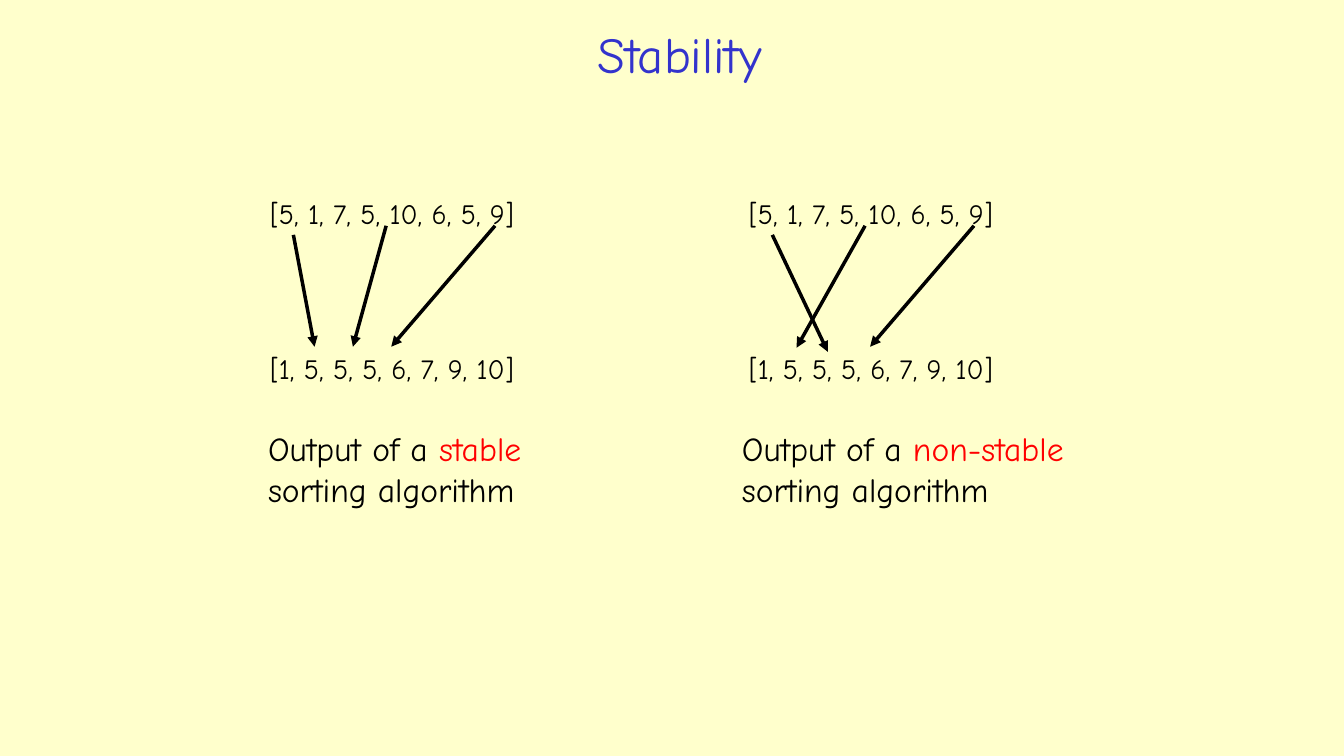
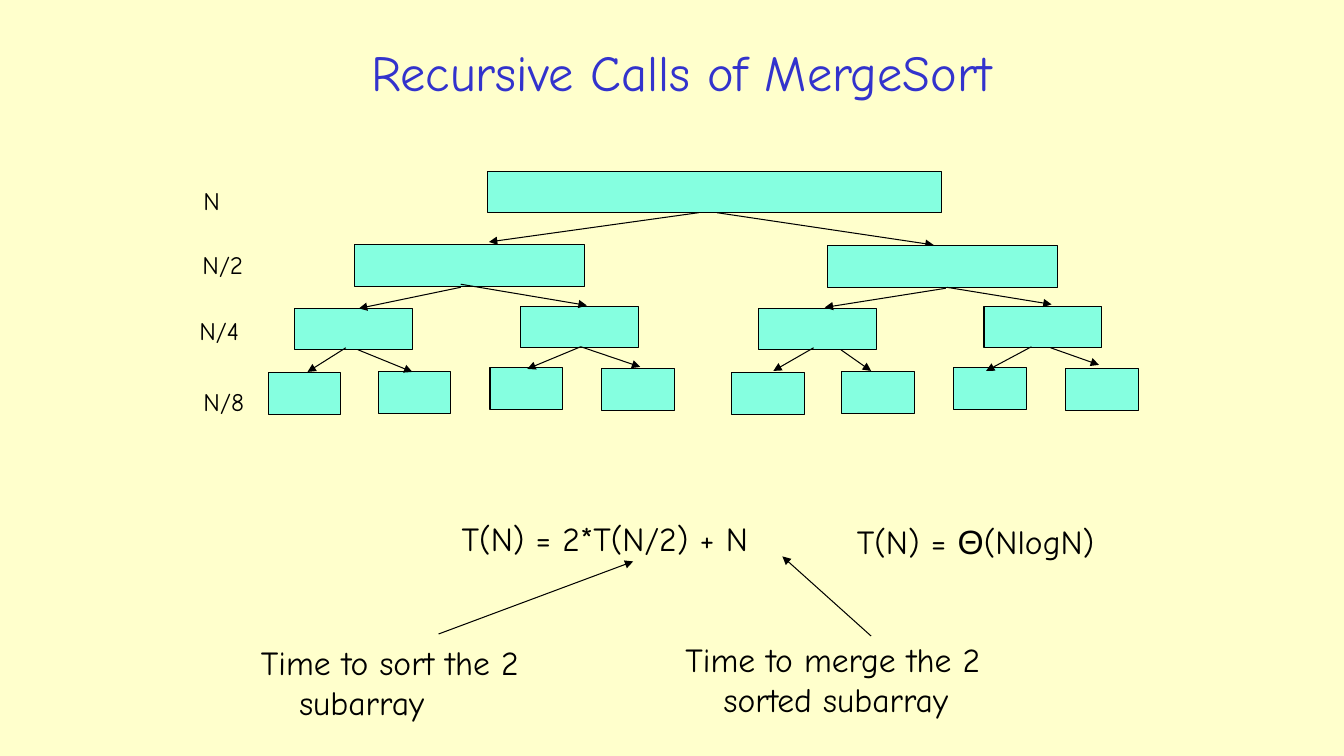
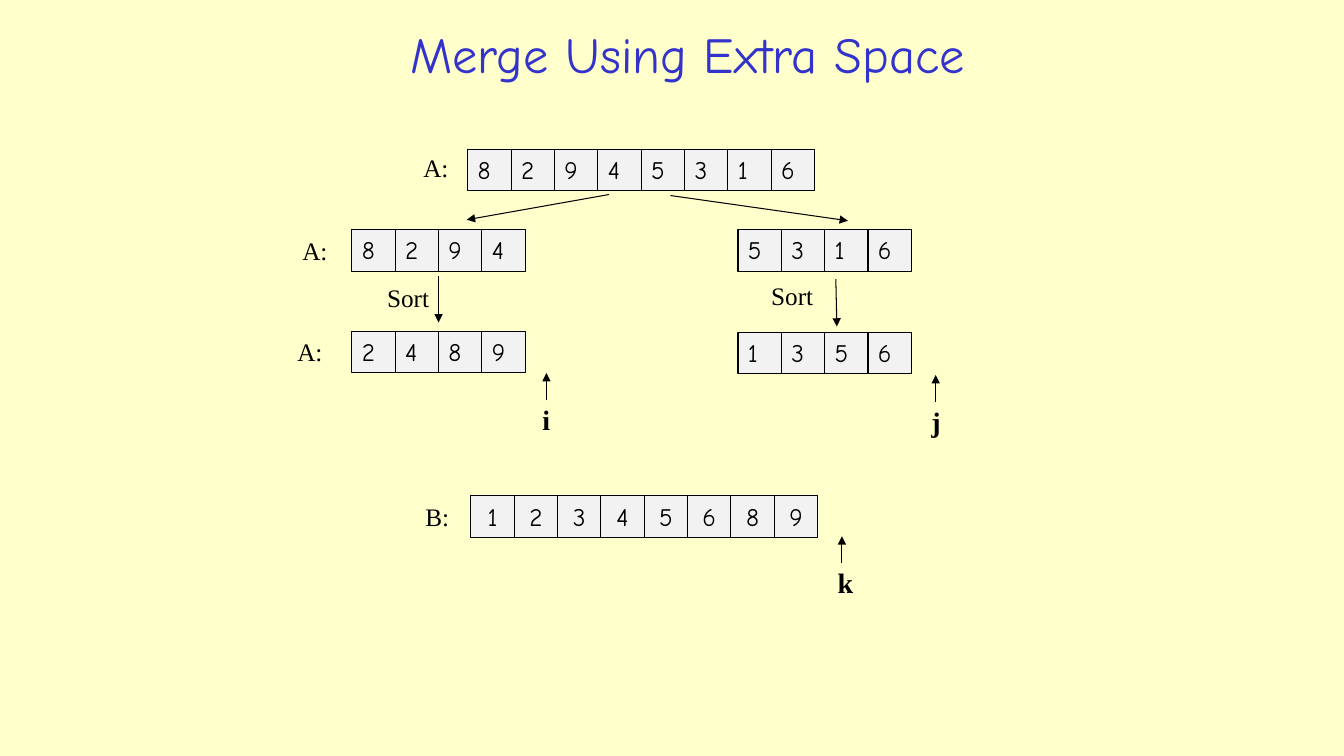
from lxml import etree
from pptx import Presentation, util as u
from pptx.dml.color import RGBColor
from pptx.enum import shapes, text
from pptx.oxml.ns import qn

WIDTH, HEIGHT = 13.33, 7.5
PAPER, TITLE, INK, ACCENT = "FFFFCC", "3333CC", "000000", "FF0000"
MINT, CELL = "85FFE0", "F2F2F2"
HAND, SERIF, SANS = "Comic Neue", "Times New Roman", "Arial"
CELL_WIDTH, ROW_HEIGHT = 0.43, 0.41


def color(value):
    """Turn a hex string into a colour."""
    return RGBColor.from_string(value)


def assign(target, values):
    """Set each named attribute of the target."""
    for name, value in values.items():
        setattr(target, name, value)


def inches(*lengths):
    """Convert lengths in inches."""
    return [u.Inches(length) for length in lengths]


def write(shape, paragraphs, size, font=HAND, ink=INK, bold=False, align=None, hanging=0):
    """Fill a shape with paragraphs made of (text, format) runs."""
    frame = shape.text_frame
    for index, runs in enumerate(paragraphs):
        paragraph = frame.paragraphs[0] if index == 0 else frame.add_paragraph()
        paragraph.alignment = align or text.PP_ALIGN.LEFT
        if hanging:
            properties = paragraph._p.get_or_add_pPr()
            properties.set("marL", str(u.Inches(hanging)))
            properties.set("indent", str(-u.Inches(hanging)))
        for words, changes in runs:
            run = paragraph.add_run()
            run.text = words
            look = {"name": font, "size": u.Pt(size), "bold": bold}
            assign(run.font, {**look, **{k: v for k, v in changes.items() if k != "ink"}})
            run.font.color.rgb = color(changes.get("ink", ink))


def add_text(slide, box, content, size, wrap=False, anchor=text.MSO_ANCHOR.TOP, **look):
    """Add a text box holding a string or a list of paragraphs."""
    shape = slide.shapes.add_textbox(*inches(*box))
    fit = text.MSO_AUTO_SIZE.NONE if wrap else text.MSO_AUTO_SIZE.SHAPE_TO_FIT_TEXT
    assign(shape.text_frame, {"word_wrap": wrap, "auto_size": fit, "vertical_anchor": anchor})
    write(shape, [[(content, {})]] if isinstance(content, str) else content, size, **look)


def add_box(slide, box, fill):
    """Add an outlined rectangle."""
    shape = slide.shapes.add_shape(shapes.MSO_SHAPE.RECTANGLE, *inches(*box))
    shape.shadow.inherit = False
    shape.fill.solid()
    shape.fill.fore_color.rgb = color(fill)
    shape.line.color.rgb = color(INK)
    shape.line.width = u.Pt(0.75)
    return shape


def add_arrows(slide, arrows, left=0, top=0, width=0.75):
    """Add arrows given as from and to points relative to an origin."""
    for x1, y1, x2, y2 in arrows:
        ends = inches(left + x1, top + y1, left + x2, top + y2)
        arrow = slide.shapes.add_connector(shapes.MSO_CONNECTOR.STRAIGHT, *ends)
        arrow.line.color.rgb = color(INK)
        arrow.line.width = u.Pt(width)
        etree.SubElement(arrow.line._get_or_add_ln(), qn("a:tailEnd"), type="triangle")
        etree.SubElement(arrow._element.spPr, qn("a:effectLst"))


def add_slide(presentation, title, box):
    """Add a blank slide with the shared title style."""
    slide = presentation.slides.add_slide(presentation.slide_layouts[6])
    add_text(slide, box, title, 36, wrap=True, anchor=text.MSO_ANCHOR.MIDDLE,
             ink=TITLE, align=text.PP_ALIGN.CENTER)
    return slide


def sorting_example(slide, left, top, kind, caption_left, caption_width, arrows):
    """Show an array, its sorted order and the moves between them."""
    add_text(slide, (left, top, 3.08, 0.44), "[5, 1, 7, 5, 10, 6, 5, 9]", 20)
    add_text(slide, (left, top + 1.54, 3, 0.44), "[1, 5, 5, 5, 6, 7, 9, 10]", 20)
    add_arrows(slide, arrows, left, top, 2.5)
    caption = [[("Output of a ", {}), (kind, {"ink": ACCENT})], [("sorting algorithm", {})]]
    add_text(slide, (caption_left, top + 2.3, caption_width, 0.91), caption, 24)


def stability_slide(presentation):
    """Compare a stable with a non-stable sort."""
    slide = add_slide(presentation, "Stability", (1.97, 0.15, 9.54, 0.76))
    last = (2.33, 0.34, 1.3, 1.54)
    sorting_example(slide, 2.58, 1.9, "stable", 2.56, 3.11,
                    [(0.33, 0.43, 0.54, 1.54), (1.25, 0.34, 0.92, 1.54), last])
    sorting_example(slide, 7.33, 1.9, "non-stable", 7.26, 3.78,
                    [(0.33, 0.43, 0.88, 1.59), (1.25, 0.34, 0.57, 1.55), last])


def subtree(slide, left, top, half, arrows):
    """Draw one half of the call tree, from N/2 down to N/8."""
    levels = [
        (2.28, [half]),
        (1.17, [(0.26, 0.63), (2.5, 0.61)]),
        (0.72, [(0, 1.27), (1.09, 1.26), (2.2, 1.22), (3.31, 1.23)]),
    ]
    for width, places in levels:
        for x, y in places:
            add_box(slide, (left + x, top + y, width, ROW_HEIGHT), MINT)
    add_arrows(slide, arrows, left, top)


def recursion_slide(presentation):
    """Show the call tree and its running time."""
    slide = add_slide(presentation, "Recursive Calls of MergeSort", (2.11, 0.15, 9.3, 1.12))
    sizes = [("N", 1.92, 1.79), ("N/2", 1.91, 2.42), ("N/4", 1.88, 3.08), ("N/8", 1.92, 3.78)]
    for label, left, top in sizes:
        add_text(slide, (left, top, 0.76, 0.4), label, 18, wrap=True)
    add_box(slide, (4.84, 1.7, 4.5, ROW_HEIGHT), MINT)
    add_arrows(slide, [(6.93, 2.11, 4.85, 2.4), (7.11, 2.11, 9.26, 2.43)])
    subtree(slide, 2.66, 2.43, (0.86, 0), [
        (1.91, 0.42, 0.9, 0.63), (1.91, 0.39, 3.16, 0.6),
        (0.77, 1.02, 0.39, 1.26), (0.89, 1.04, 1.43, 1.26),
        (3.1, 1.01, 2.57, 1.23), (3.1, 1.01, 3.69, 1.21)])
    subtree(slide, 7.26, 2.43, (0.95, 0.01), [
        (2.12, 0.43, 0.92, 0.62), (2.13, 0.42, 3.17, 0.59),
        (0.81, 1.02, 0.41, 1.25), (1.08, 1.04, 1.38, 1.25),
        (2.97, 1.01, 2.52, 1.25), (3.16, 1.02, 3.64, 1.19)])
    bound = [[("T(N) = ", {}), ("Θ", {"name": SANS}), ("(NlogN)", {})]]
    notes = [
        ((4.48, 5.09, 3.59, 0.54), "T(N) = 2*T(N/2) + N"),
        ((8.4, 5.12, 2.9, 0.54), bound),
        ((2.49, 6.32, 3.33, 0.88), "Time to sort the 2 subarray"),
        ((6.7, 6.29, 3.8, 0.88), "Time to merge the 2 sorted subarray"),
    ]
    for box, content in notes:
        add_text(slide, box, content, 24, wrap=True, hanging=0.38)
    add_arrows(slide, [(4.35, 6.29, 6.28, 5.57), (8.64, 6.31, 7.76, 5.52)])


def array_row(slide, left, top, digits, align=None):
    """Draw an array as a row of cells, one digit each."""
    for index, digit in enumerate(digits):
        cell = add_box(slide, (left + index * CELL_WIDTH, top, CELL_WIDTH, ROW_HEIGHT), CELL)
        cell.text_frame.vertical_anchor = text.MSO_ANCHOR.TOP
        write(cell, [[(digit, {})]], 18, align=align)


def index_pointer(slide, left, top, name, width):
    """Draw an upward arrow above the name of an index."""
    add_arrows(slide, [(0.14, 0.27, 0.14, 0)], left, top)
    add_text(slide, (left, top + 0.24, width, 0.44), name, 20, font=SERIF, bold=True)


def merge_slide(presentation):
    """Show two sorted halves merged into a second array."""
    slide = add_slide(presentation, "Merge Using Extra Space", (1.97, 0.15, 9.7, 0.76))
    rows = [(4.64, 1.48, "82945316"), (3.49, 2.28, "8294"), (7.32, 2.28, "5316"),
            (3.49, 3.29, "2489"), (7.32, 3.3, "1356")]
    for row in rows:
        array_row(slide, *row)
    array_row(slide, 4.67, 4.92, "12345689", text.PP_ALIGN.CENTER)
    labels = [("A:", 4.1, 1.46, 0.45), ("A:", 2.9, 2.29, 0.45), ("A:", 2.85, 3.29, 0.45),
              ("B:", 4.12, 4.92, 0.44), ("Sort", 3.74, 2.75, 0.62), ("Sort", 7.55, 2.73, 0.62)]
    for label, left, top, width in labels:
        add_text(slide, (left, top, width, 0.4), label, 18, font=SERIF)
    add_arrows(slide, [(6.04, 1.93, 4.63, 2.18), (6.65, 1.94, 8.41, 2.19),
                       (4.35, 2.74, 4.35, 3.2), (8.29, 2.77, 8.3, 3.24)])
    for pointer in [(5.28, 3.7, "i", 0.28), (9.14, 3.72, "j", 0.3), (8.21, 5.32, "k", 0.36)]:
        index_pointer(slide, *pointer)


def main():
    """Build and save the presentation."""
    presentation = Presentation()
    assign(presentation, {"slide_width": u.Inches(WIDTH), "slide_height": u.Inches(HEIGHT)})
    paper = presentation.slide_master.background.fill
    paper.solid()
    paper.fore_color.rgb = color(PAPER)
    for build in (stability_slide, recursion_slide, merge_slide):
        build(presentation)
    presentation.save("out.pptx")


if __name__ == "__main__":
    main()
